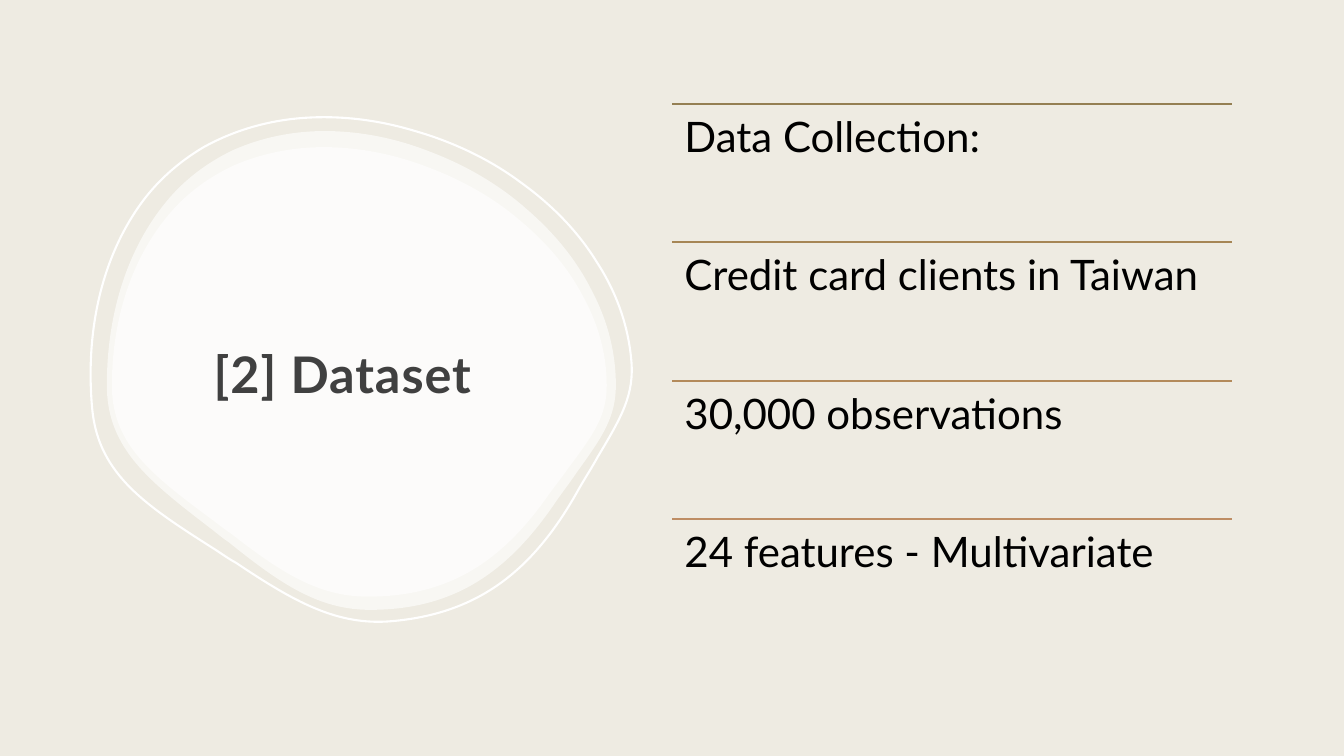
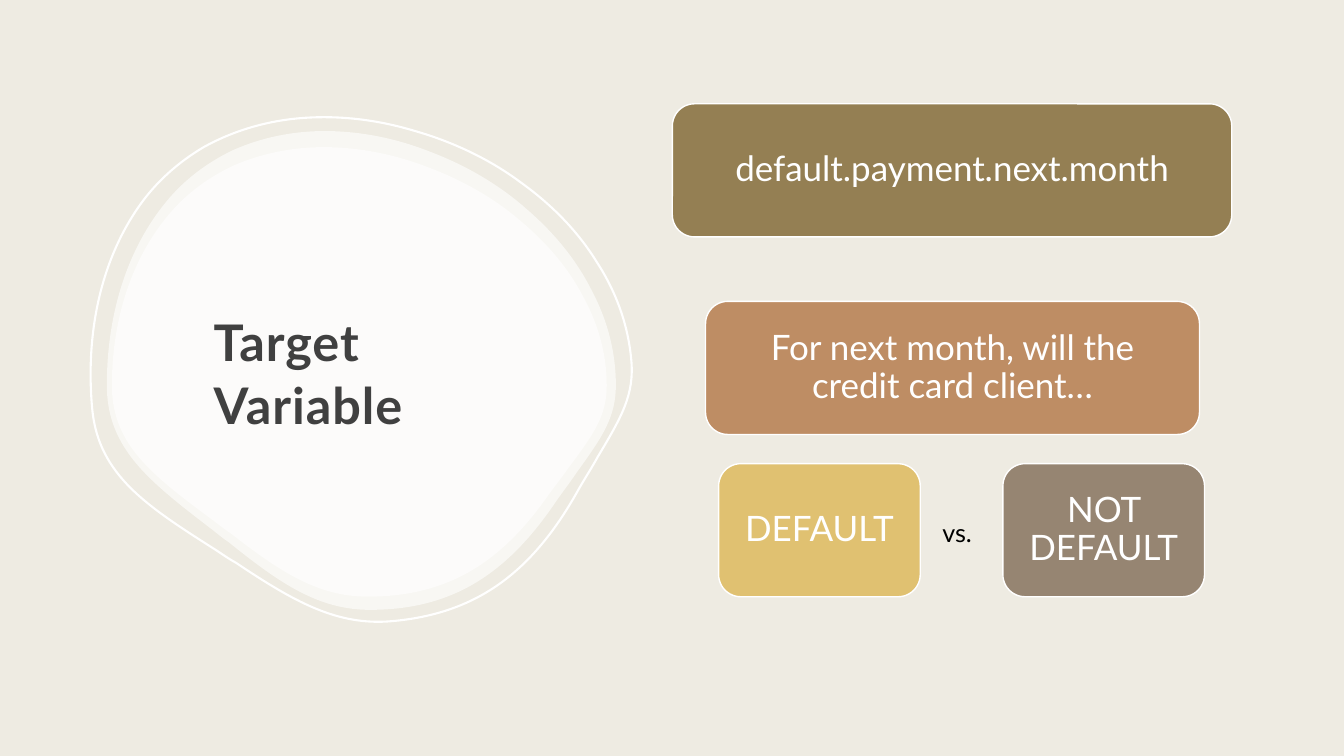
from lxml.etree import SubElement
from pptx import Presentation
from pptx.dml.color import RGBColor
from pptx.enum.shapes import MSO_CONNECTOR as CONNECTOR, MSO_SHAPE as SHAPE
from pptx.enum.text import MSO_ANCHOR as ANCHOR, PP_ALIGN as ALIGN
from pptx.oxml.ns import qn
from pptx.util import Pt

PX = 9144  # EMU per px, 100 px to the inch
FONT = "Lato"

CREAM = RGBColor(0xEE, 0xEB, 0xE2)
WHITE = RGBColor(0xFF, 0xFF, 0xFF)
BLACK = RGBColor(0x00, 0x00, 0x00)
CHARCOAL = RGBColor(0x40, 0x40, 0x40)
OLIVE = RGBColor(0x94, 0x7F, 0x53)
BRONZE = RGBColor(0xA6, 0x86, 0x55)
TAN = RGBColor(0xB3, 0x8A, 0x5B)
COPPER = RGBColor(0xBE, 0x8D, 0x64)
GOLD = RGBColor(0xE0, 0xC1, 0x71)
TAUPE = RGBColor(0x96, 0x85, 0x72)

# Pebble outline in px: a start point, then Bezier curves (control, control, end)
PEBBLE_LEFT, PEBBLE_TOP = 106, 130
PEBBLE_START = (322, 130)
PEBBLE_CURVES = [
    ((289, 130), (258, 137), (231, 149)),
    ((206, 161), (183, 178), (165, 200)),
    ((127, 246), (106, 310), (106, 382)),
    ((106, 410), (114, 433), (132, 456)),
    ((151, 480), (180, 502), (210, 525)),
    ((215, 529), (221, 534), (227, 538)),
    ((278, 579), (316, 605), (367, 605)),
    ((445, 605), (501, 573), (552, 497)),
    ((559, 487), (566, 478), (572, 469)),
    ((598, 433), (611, 414), (611, 382)),
    ((611, 350), (603, 318), (587, 288)),
    ((572, 258), (550, 231), (522, 207)),
    ((495, 183), (462, 164), (428, 151)),
    ((393, 137), (357, 130), (322, 130)),
]
PEBBLE_FRAMES = [(PEBBLE_LEFT, PEBBLE_TOP, 505, 475), (111, 146, 491, 446)]
RING_FRAME = (89, 113, 537, 505)


def add_pebble(page, frame):
    """Add the pebble outline, stretched to a px frame."""
    builder = page.shapes.build_freeform(*PEBBLE_START, scale=PX)
    builder.add_line_segments([curve[-1] for curve in PEBBLE_CURVES], close=True)
    pebble = builder.convert_to_shape()
    # Bend each straight segment into its Bezier curve
    segments = list(pebble._element.iter(qn("a:lnTo")))
    for segment, curve in zip(segments, PEBBLE_CURVES):
        bend = segment.makeelement(qn("a:cubicBezTo"))
        for x, y in curve:
            point = SubElement(bend, qn("a:pt"))
            point.set("x", str(x - PEBBLE_LEFT))
            point.set("y", str(y - PEBBLE_TOP))
        segment.getparent().replace(segment, bend)
    pebble.left, pebble.top, pebble.width, pebble.height = (PX * v for v in frame)
    pebble.shadow.inherit = False
    return pebble


def write(box, text, size, color, margins, spacing=1.0, anchor=ANCHOR.TOP, align=ALIGN.LEFT):
    """Fill a shape with one paragraph; margins are left, top, right, bottom in px."""
    frame = box.text_frame
    frame.word_wrap = True
    frame.vertical_anchor = anchor
    (frame.margin_left, frame.margin_top,
     frame.margin_right, frame.margin_bottom) = (PX * v for v in margins)
    frame.text = text
    para = frame.paragraphs[0]
    para.alignment = align
    para.line_spacing = spacing
    span = para.runs[0]
    span.font.name = FONT
    span.font.size = Pt(size)
    span.font.color.rgb = color
    return span


deck = Presentation()
deck.slide_height = 750 * PX
deck.slide_width = deck.slide_height * 16 // 9
master_fill = deck.slide_master.background.fill
master_fill.solid()
master_fill.fore_color.rgb = CREAM

# Both slides: pebble with a ring around it, and the title on top
pages = []
for title in ("[2] Dataset", "Target Variable"):
    page = deck.slides.add_slide(deck.slide_layouts[6])
    pages.append(page)
    for frame in PEBBLE_FRAMES:
        pebble = add_pebble(page, frame)
        pebble.fill.solid()
        pebble.fill.fore_color.rgb = WHITE
        pebble.line.fill.background()
        color = pebble._element.spPr.find(qn("a:solidFill"))[0]
        SubElement(color, qn("a:alpha")).set("val", "60000")
    ring = add_pebble(page, RING_FRAME)
    ring.rotation = 355
    ring.fill.background()
    ring.line.color.rgb = WHITE
    ring.line.width = Pt(1.5)

    box = page.shapes.add_textbox(200 * PX, 207 * PX, 362 * PX, 321 * PX)
    span = write(box, title, 36, CHARCOAL, (12, 12, 12, 10), 1.05, ANCHOR.MIDDLE)
    span.font.bold = True
    span._r.get_or_add_rPr().set("spc", "70")

dataset_page, target_page = pages

# Dataset: four ruled rows
LIST_LEFT, LIST_TOP, LIST_WIDTH, LIST_HEIGHT = 667, 103, 555, 550
rows = [
    ("Data Collection:", OLIVE),
    ("Credit card clients in Taiwan", BRONZE),
    ("30,000 observations", TAN),
    ("24 features - Multivariate", COPPER),
]
for index, (text, color) in enumerate(rows):
    top = LIST_TOP + index * LIST_HEIGHT // len(rows)
    rule = dataset_page.shapes.add_connector(
        CONNECTOR.STRAIGHT, LIST_LEFT * PX, top * PX, (LIST_LEFT + LIST_WIDTH) * PX, top * PX)
    rule.line.color.rgb = color
    rule.line.width = Pt(1)
    SubElement(rule._element.spPr, qn("a:effectLst"))
    box = dataset_page.shapes.add_textbox(LIST_LEFT * PX, top * PX, LIST_WIDTH * PX, 137 * PX)
    write(box, text, 30, BLACK, (12, 12, 12, 12), 0.9)

# Target variable: the variable, the question and its two answers
CARD_HEIGHT = 132
cards = [
    ("default.payment.next.month", 667, 103, 555, OLIVE),
    ("For next month, will the credit card client…", 700, 299, 490, COPPER),
    ("DEFAULT", 713, 460, 200, GOLD),
    ("NOT DEFAULT", 995, 460, 200, TAUPE),
]
for text, left, top, width, color in cards:
    card = target_page.shapes.add_shape(
        SHAPE.ROUNDED_RECTANGLE, left * PX, top * PX, width * PX, CARD_HEIGHT * PX)
    card.shadow.inherit = False
    card.fill.solid()
    card.fill.fore_color.rgb = color
    card.line.color.rgb = WHITE
    card.line.width = Pt(1)
    write(card, text, 25, WHITE, (13, 5, 13, 5), 0.9, ANCHOR.MIDDLE, ALIGN.CENTER)

versus = target_page.shapes.add_textbox(925 * PX, 508 * PX, 56 * PX, 40 * PX)
write(versus, "vs.", 18, BLACK, (10, 5, 10, 5))

deck.save("out.pptx")
